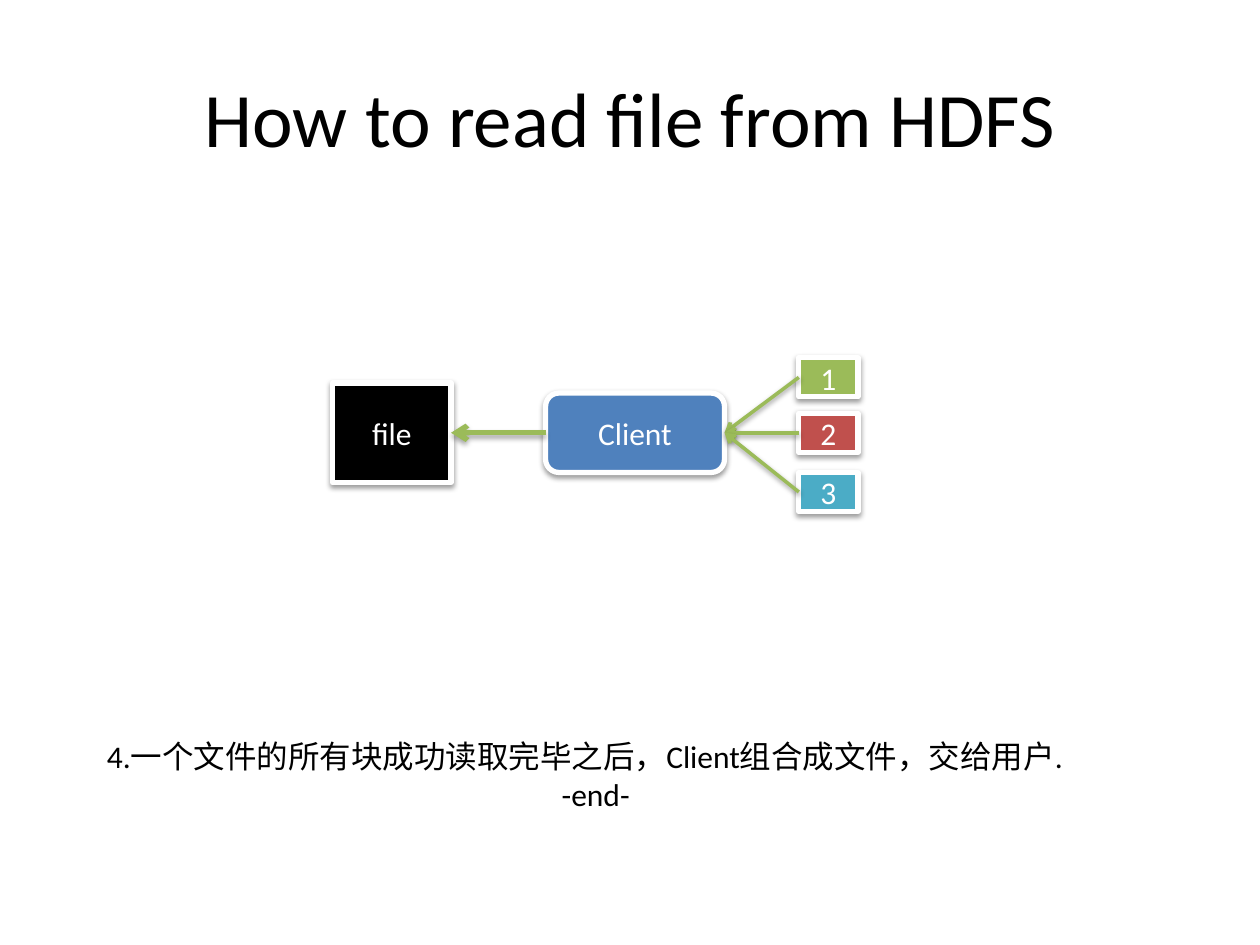
from lxml import etree
from pptx import Presentation
from pptx import util as u
from pptx.dml.color import RGBColor
from pptx.enum import shapes, text
from pptx.oxml.ns import qn

COLORS = {
    "black": "000000",
    "white": "FFFFFF",
    "green": "9BBB59",
    "red": "C0504D",
    "blue": "4F81BD",
    "teal": "4BACC6",
}


class Slide:
    """Holds the style and the current page, and draws each kind of element."""

    font = "Calibri"
    body_size = 18
    outline = 3

    def __init__(self, deck):
        self.page = deck.slides.add_slide(deck.slide_layouts[6])

    def color(self, name):
        return RGBColor.from_string(COLORS[name])

    def add_span(self, para, words, size, color):
        span = para.add_run()
        span.text = words
        span.font.name = self.font
        span.font.size = u.Pt(size)
        span.font.color.rgb = self.color(color)

    def add_text(self, place, lines, size=body_size, align=None, anchor=text.MSO_ANCHOR.TOP):
        box = self.page.shapes.add_textbox(*map(u.Inches, place))
        frame = box.text_frame
        frame.word_wrap = True
        frame.vertical_anchor = anchor
        for number, (words, indent) in enumerate(lines):
            para = frame.add_paragraph() if number else frame.paragraphs[0]
            para.alignment = align
            if indent:
                para._p.get_or_add_pPr().set("marL", str(u.Inches(indent)))
            self.add_span(para, words, size, "black")

    def add_shadow(self, effects, opacity=38, distance=1.6):
        shadow = etree.SubElement(
            effects, qn("a:outerShdw"), blurRad=str(u.Pt(3.1)), dist=str(u.Pt(distance)),
            dir="5400000", rotWithShape="0")
        tone = etree.SubElement(shadow, qn("a:srgbClr"), val=COLORS["black"])
        etree.SubElement(tone, qn("a:alpha"), val=str(opacity * 1000))

    def add_node(self, place, label, fill, kind=shapes.MSO_SHAPE.RECTANGLE):
        node = self.page.shapes.add_shape(kind, *map(u.Inches, place))
        node.fill.solid()
        node.fill.fore_color.rgb = self.color(fill)
        node.line.color.rgb = self.color("white")
        node.line.width = u.Pt(self.outline)
        node.shadow.inherit = False
        self.add_shadow(node._element.spPr.find(qn("a:effectLst")))
        node.text_frame.vertical_anchor = text.MSO_ANCHOR.MIDDLE
        para = node.text_frame.paragraphs[0]
        para.alignment = text.PP_ALIGN.CENTER
        self.add_span(para, label, self.body_size, "white")
        return node

    def add_arrow(self, source, target, width=2, **shadow):
        arrow = self.page.shapes.add_connector(shapes.MSO_CONNECTOR.STRAIGHT, 0, 0, 0, 0)
        arrow.begin_connect(source, 1)
        arrow.end_connect(target, 3)
        arrow.line.color.rgb = self.color("green")
        arrow.line.width = u.Pt(width)
        etree.SubElement(arrow.line._get_or_add_ln(), qn("a:tailEnd"), type="arrow")
        self.add_shadow(etree.SubElement(arrow._element.spPr, qn("a:effectLst")), **shadow)


def main():
    deck = Presentation()
    deck.slide_width, deck.slide_height = u.Inches(10), u.Inches(7.5)
    slide = Slide(deck)
    slide.add_text((0.5, 0.3, 9, 1.25), [("How to read file from HDFS", 0)], 44,
                   text.PP_ALIGN.CENTER, text.MSO_ANCHOR.MIDDLE)
    slide.add_text((0.75, 5.8, 8.27, 0.71), [
        ("4.一个文件的所有块成功读取完毕之后，Client组合成文件，交给用户.", 0),
        ("-end-", 3.61),
    ])

    blocks = [
        slide.add_node((6.34, top, 0.47, 0.31), label, fill)
        for label, top, fill in [("1", 2.84, "green"), ("2", 3.28, "red"), ("3", 3.75, "teal")]
    ]
    client = slide.add_node((4.33, 3.12, 1.42, 0.63), "Client", "blue",
                            shapes.MSO_SHAPE.ROUNDED_RECTANGLE)
    file = slide.add_node((2.64, 3.04, 0.94, 0.79), "file", "black")

    slide.add_arrow(client, file, 3, opacity=35, distance=1.8)
    for block in blocks:
        slide.add_arrow(block, client)
    deck.save("out.pptx")


if __name__ == "__main__":
    main()
